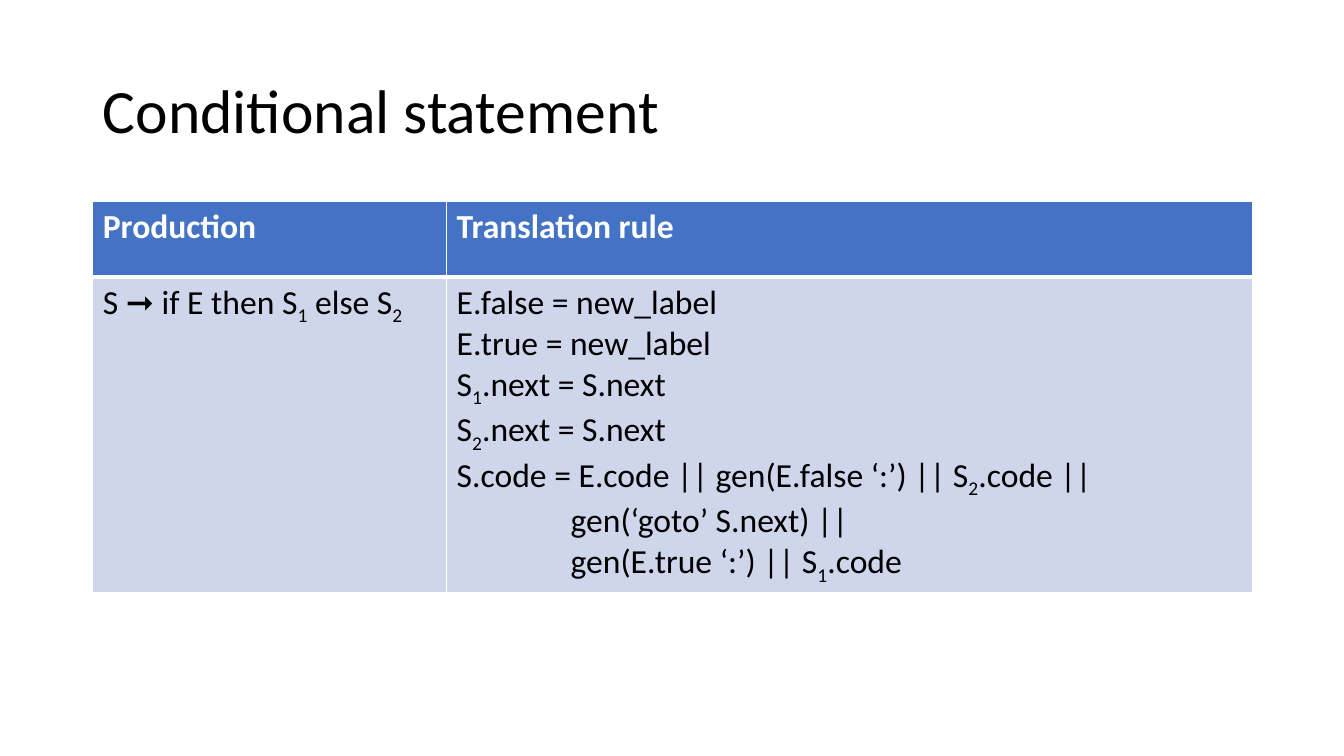
from lxml.etree import SubElement
from pptx import Presentation
from pptx.dml.color import RGBColor
from pptx.enum.text import MSO_ANCHOR, PP_ALIGN
from pptx.oxml import parse_xml
from pptx.oxml.ns import nsdecls
from pptx.util import Inches, Pt

TITLE = "Conditional statement"
# "~" lowers the next character; a leading tab indents the line.
ROWS = [
    (["Production"], ["Translation rule"]),
    (["S ➞ if E then S~1 else S~2"],
     ["E.false = new_label",
      "E.true = new_label",
      "S~1.next = S.next",
      "S~2.next = S.next",
      "S.code = E.code || gen(E.false ‘:’) || S~2.code ||",
      "\tgen(‘goto’ S.next) ||",
      "\tgen(E.true ‘:’) || S~1.code"]),
]
COLS = (3.51, 7.99)
HEIGHTS = (0.75, 2.9)
LEFT, TOP, WIDTH = 0.92, 2, sum(COLS)
INDENT = 1.13
FONT = "Calibri"
BLACK = RGBColor(0, 0, 0)
WHITE = RGBColor(255, 255, 255)
BLUE = RGBColor(0x44, 0x72, 0xC4)
PALE = RGBColor(0xCF, 0xD5, 0xEA)


def style(run, size, color, bold=False):
    font = run.font
    font.name, font.size, font.bold = FONT, Pt(size), bold
    font.color.rgb = color


def write(para, line, color, bold):
    """Fill a paragraph, lowering each character that follows a tilde."""
    if line.startswith("\t"):
        para._p.get_or_add_pPr().set("marL", str(Inches(INDENT)))
    first, *rest = line.strip().split("~")
    parts = [(first, False)]
    for part in rest:
        parts += [(part[0], True), (part[1:], False)]
    for text, low in parts:
        if text:
            run = para.add_run()
            run.text = text
            style(run, 24, color, bold)
            if low:
                run._r.get_or_add_rPr().set("baseline", "-25000")


def border(cell, widths):
    props = cell._tc.get_or_add_tcPr()
    for spot, (side, width) in enumerate(widths.items()):
        line = parse_xml(f'<a:ln{side} {nsdecls("a")} w="{Pt(width)}"/>')
        fill = SubElement(line, line.tag.replace(f"ln{side}", "solidFill"))
        SubElement(fill, line.tag.replace(f"ln{side}", "srgbClr"), val=str(WHITE))
        props.insert(spot, line)


def main():
    deck = Presentation()
    deck.slide_width, deck.slide_height = Inches(13.33), Inches(7.5)
    slide = deck.slides.add_slide(deck.slide_layouts[5])

    title = slide.shapes.title
    title.left, title.top = Inches(LEFT), Inches(0.4)
    title.width, title.height = Inches(WIDTH), Inches(1.45)
    frame = title.text_frame
    frame.text = TITLE
    frame.vertical_anchor = MSO_ANCHOR.MIDDLE
    para = frame.paragraphs[0]
    para.alignment, para.line_spacing = PP_ALIGN.LEFT, 0.9
    style(para.runs[0], 44, BLACK)

    table = slide.shapes.add_table(
        len(ROWS), len(COLS), Inches(LEFT), Inches(TOP),
        Inches(WIDTH), Inches(sum(HEIGHTS))).table
    for col, width in zip(table.columns, COLS):
        col.width = Inches(width)
    for r, (row, height) in enumerate(zip(ROWS, HEIGHTS)):
        table.rows[r].height = Inches(height)
        head = r == 0
        for c, lines in enumerate(row):
            cell = table.cell(r, c)
            cell.fill.solid()
            cell.fill.fore_color.rgb = BLUE if head else PALE
            border(cell, {"L": 1, "R": 1, "T": 1 if head else 3,
                          "B": 3 if head else 1})
            frame = cell.text_frame
            for i, line in enumerate(lines):
                para = frame.add_paragraph() if i else frame.paragraphs[0]
                write(para, line, WHITE if head else BLACK, head)

    deck.save("out.pptx")


if __name__ == "__main__":
    main()
